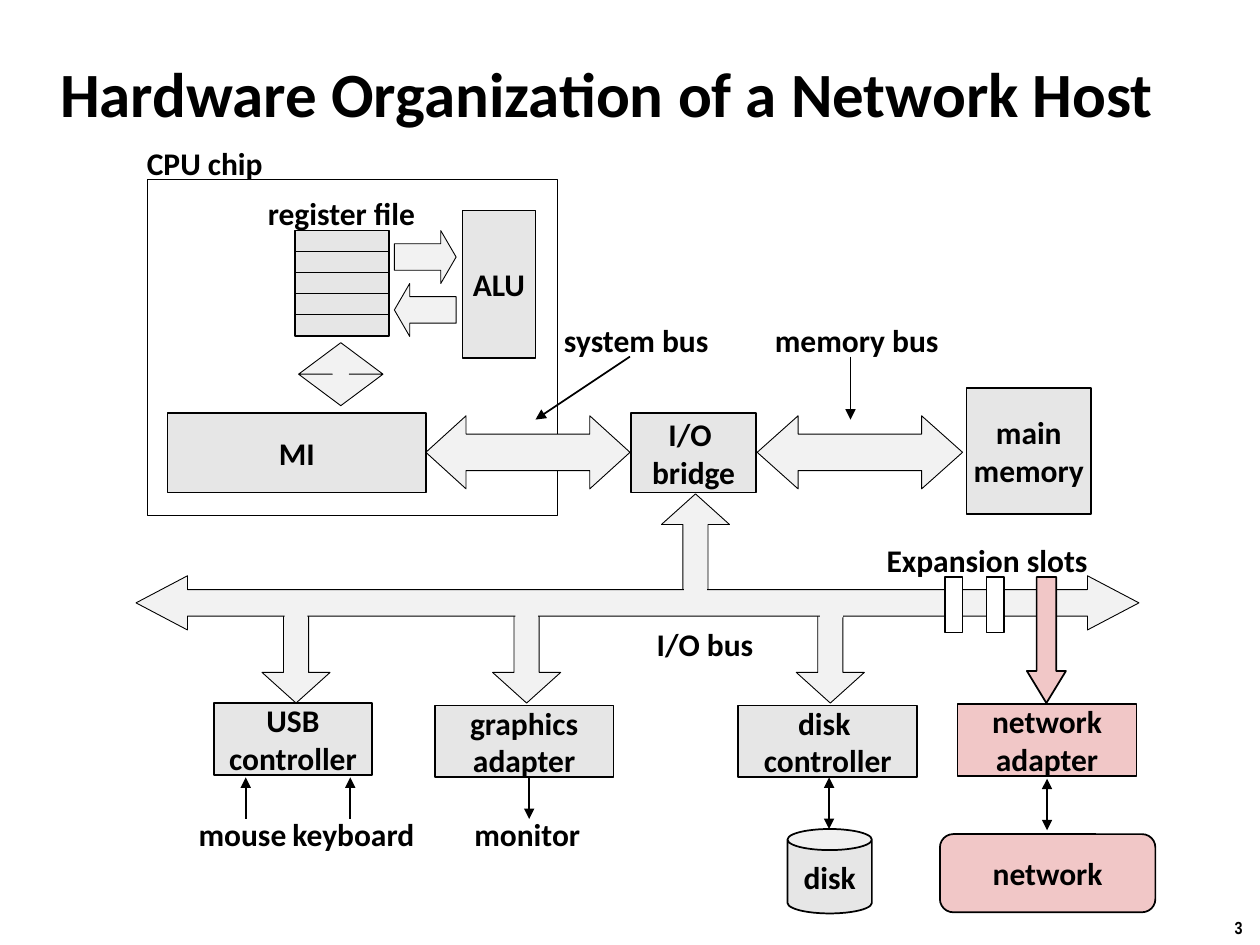
from dataclasses import dataclass

from lxml import etree
from pptx import Presentation
from pptx.dml.color import RGBColor
from pptx.enum import shapes, text
from pptx.oxml.ns import qn
from pptx.util import Inches, Pt

Kind = shapes.MSO_SHAPE


@dataclass(frozen=True)
class Theme:
    ink: str = "000000"
    paper: str = "FFFFFF"
    unit: str = "E6E6E6"
    bus: str = "F2F2F2"
    network: str = "F1C7C7"
    font: str = "Calibri"
    number_font: str = "Arial Narrow"
    title_size: float = 36
    label_size: float = 18
    number_size: float = 10
    hairline: float = 0.25
    thin: float = 0.5
    medium: float = 1


THEME = Theme()


@dataclass(frozen=True)
class Part:
    left: float
    top: float
    width: float
    height: float
    words: str = ""
    kind: Kind = Kind.RECTANGLE
    fill: str | None = THEME.unit
    line: float | None = THEME.medium
    adjust: tuple = ()


@dataclass(frozen=True)
class Label:
    left: float
    top: float
    width: float
    words: str


@dataclass(frozen=True)
class Wire:
    start: tuple
    end: tuple
    head: bool = False
    tail: bool = False


def write(frame, words: str, *, size: float = THEME.label_size, font: str = THEME.font,
          align=text.PP_ALIGN.CENTER, anchor=text.MSO_ANCHOR.MIDDLE, wrap: bool = False) -> None:
    frame.word_wrap = wrap
    frame.vertical_anchor = anchor
    frame.text = words
    for paragraph in frame.paragraphs:
        paragraph.alignment = align
        paragraph.font.size = Pt(size)
        paragraph.font.name = font
        paragraph.font.bold = True
        paragraph.font.color.rgb = RGBColor.from_string(THEME.ink)


def draw_part(slide, part: Part) -> None:
    shape = slide.shapes.add_shape(part.kind, Inches(part.left), Inches(part.top),
                                   Inches(part.width), Inches(part.height))
    shape.shadow.inherit = False
    for index, value in enumerate(part.adjust):
        shape.adjustments[index] = value
    if part.fill:
        shape.fill.solid()
        shape.fill.fore_color.rgb = RGBColor.from_string(part.fill)
    else:
        shape.fill.background()
    if part.line:
        shape.line.color.rgb = RGBColor.from_string(THEME.ink)
        shape.line.width = Pt(part.line)
    else:
        shape.line.fill.background()
    if part.words:
        write(shape.text_frame, part.words)


def draw_label(slide, label: Label, height: float = 0.4, **style) -> None:
    box = slide.shapes.add_textbox(Inches(label.left), Inches(label.top),
                                   Inches(label.width), Inches(height))
    write(box.text_frame, label.words, **style)


def draw_wire(slide, wire: Wire) -> None:
    connector = slide.shapes.add_connector(shapes.MSO_CONNECTOR.STRAIGHT,
                                           *map(Inches, wire.start + wire.end))
    connector.line.color.rgb = RGBColor.from_string(THEME.ink)
    connector.line.width = Pt(THEME.medium)
    outline = connector.line._get_or_add_ln()
    for tag, wanted in (("a:headEnd", wire.head), ("a:tailEnd", wire.tail)):
        if wanted:
            etree.SubElement(outline, qn(tag), type="triangle")
    etree.SubElement(connector._element.spPr, qn("a:effectLst"))


def bus_arrow(left: float, top: float, width: float, height: float, kind: Kind,
              *adjust: float) -> Part:
    return Part(left, top, width, height, kind=kind, fill=THEME.bus, line=THEME.thin,
                adjust=adjust)


def junction(left: float, top: float) -> Part:
    return Part(left, top, 0.18, 0.17, fill=THEME.bus, line=None)


BRANCH = (0.37, 0.45)
REGISTERS = [Part(2.34, 1.83 + row * 0.5 / 3, 0.75, 0.17) for row in range(5)]
SLOTS = [Part(left, 4.58, 0.14, 0.44, fill=THEME.paper) for left in (7.5, 7.83)]

PARTS = [
    Part(1.17, 1.42, 3.25, 2.67, fill=None, line=THEME.hairline),
    Part(7.67, 3.08, 0.99, 1, "main\nmemory"),
    bus_arrow(6.01, 3.3, 1.63, 0.58, Kind.LEFT_RIGHT_ARROW, 0.5, 0.56),
    Part(5.01, 3.28, 0.99, 0.63, "I/O \nbridge"),
    bus_arrow(3.38, 3.3, 1.62, 0.58, Kind.LEFT_RIGHT_ARROW, 0.5, 0.55),
    Part(1.33, 3.28, 2.05, 0.63, "MI"),
    *REGISTERS,
    bus_arrow(3.13, 1.83, 0.49, 0.42, Kind.RIGHT_ARROW, 0.5, 0.29),
    bus_arrow(3.13, 2.25, 0.49, 0.42, Kind.LEFT_ARROW, 0.5, 0.29),
    Part(3.67, 1.67, 0.58, 1.17, "ALU"),
    bus_arrow(2.37, 2.72, 0.67, 0.5, Kind.UP_DOWN_ARROW, 0.5, 0.2),
    bus_arrow(5.25, 3.92, 0.54, 0.83, Kind.UP_ARROW, *BRANCH),
    *[bus_arrow(left, 4.8, 0.54, 0.78, Kind.DOWN_ARROW, *BRANCH) for left in (2.08, 3.91, 6.32)],
    Part(1.7, 5.58, 1.25, 0.57, "USB\ncontroller"),
    Part(3.45, 5.6, 1.42, 0.57, "graphics\nadapter"),
    Part(5.86, 5.6, 1.42, 0.57, "disk \ncontroller"),
    Part(6.25, 6.58, 0.67, 0.67, "disk", kind=Kind.CAN, adjust=(0.25,)),
    bus_arrow(1.08, 4.57, 7.96, 0.43, Kind.LEFT_RIGHT_ARROW, 0.49, 0.95),
    junction(2.26, 4.76),
    junction(4.09, 4.74),
    junction(6.51, 4.73),
    junction(5.43, 4.67),
    *SLOTS,
    Part(8.15, 4.58, 0.31, 1, kind=Kind.DOWN_ARROW, fill=THEME.network, adjust=(0.5, 0.82)),
    Part(7.6, 5.59, 1.42, 0.57, "network\nadapter", fill=THEME.network),
    Part(7.46, 6.62, 1.71, 0.62, "network", kind=Kind.ROUNDED_RECTANGLE, fill=THEME.network,
         adjust=(0.17,)),
]

LABELS = [
    Label(0.98, 1.09, 1.29, "CPU chip"),
    Label(1.89, 1.49, 1.64, "register file"),
    Label(4.25, 2.5, 1.6, "system bus"),
    Label(5.92, 2.5, 1.76, "memory bus"),
    Label(6.77, 4.24, 2.13, "Expansion slots"),
    Label(5.04, 4.91, 1.11, "I/O bus"),
    Label(1.41, 6.42, 1.03, "mouse"),
    Label(2.12, 6.42, 1.37, "keyboard"),
    Label(3.58, 6.42, 1.21, "monitor"),
]

WIRES = [
    Wire((5, 2.83), (4.25, 3.33), tail=True),
    Wire((6.75, 2.83), (6.75, 3.33), tail=True),
    Wire((1.95, 6.17), (1.95, 6.5), head=True),
    Wire((2.78, 6.17), (2.78, 6.5), head=True),
    Wire((4.2, 6.17), (4.2, 6.5), tail=True),
    Wire((6.58, 6.17), (6.58, 6.58), head=True, tail=True),
    Wire((8.31, 6.18), (8.31, 6.59), head=True, tail=True),
]


def main() -> None:
    deck = Presentation()
    deck.slide_width, deck.slide_height = Inches(10), Inches(7.5)
    slide = deck.slides.add_slide(deck.slide_layouts[6])

    draw_label(slide, Label(0.38, 0.31, 9.53, "Hardware Organization of a Network Host"), 0.85,
               size=THEME.title_size, align=text.PP_ALIGN.LEFT, wrap=True)
    for part in PARTS:
        draw_part(slide, part)
    for label in LABELS:
        draw_label(slide, label)
    for wire in WIRES:
        draw_wire(slide, wire)
    draw_label(slide, Label(9.46, 7.23, 0.74, "3"), 0.26, size=THEME.number_size,
               font=THEME.number_font, anchor=text.MSO_ANCHOR.TOP)

    deck.save("out.pptx")


if __name__ == "__main__":
    main()
